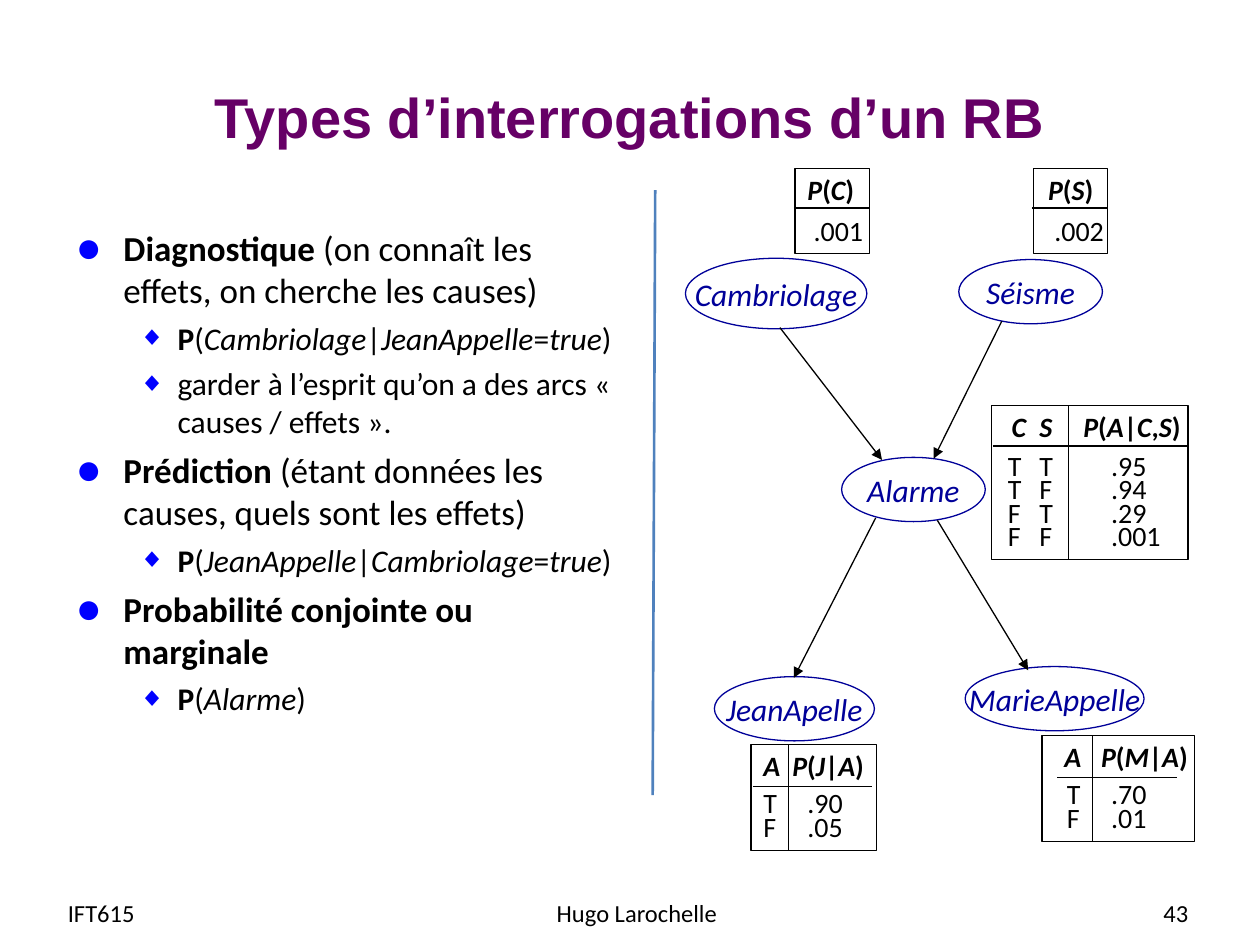
"""Build a slide on the query types of a Bayesian network."""
from lxml.etree import SubElement
from pptx import Presentation
from pptx.dml.color import RGBColor
from pptx.enum.shapes import MSO_CONNECTOR, MSO_SHAPE
from pptx.enum.text import MSO_ANCHOR, MSO_AUTO_SIZE, PP_ALIGN
from pptx.oxml.ns import qn
from pptx.util import Inches, Pt

PURPLE = RGBColor(0x66, 0x00, 0x66)
NAVY = RGBColor(0x00, 0x00, 0x99)
BLACK = RGBColor(0x00, 0x00, 0x00)
STEEL = RGBColor(0x4F, 0x81, 0xBD)
BULLET_BLUE = RGBColor(0x00, 0x00, 0xFF)


def write(para, spans, size, color=BLACK, name="Calibri"):
    """Add each (text, style) span as a run; b is bold and i is italic."""
    for text, style in spans:
        span = para.add_run()
        span.text = text
        span.font.name = name
        span.font.size = Pt(size)
        span.font.bold = "b" in style
        span.font.italic = "i" in style
        span.font.color.rgb = color


def draw_line(page, x1, y1, x2, y2, color=BLACK, width=0.75, arrow=False):
    """Draw a straight line, with an arrowhead at its end if asked."""
    line = page.shapes.add_connector(
        MSO_CONNECTOR.STRAIGHT, Inches(x1), Inches(y1), Inches(x2), Inches(y2))
    line.line.color.rgb = color
    line.line.width = Pt(width)
    properties = line._element.spPr
    if arrow:
        SubElement(properties.find(qn("a:ln")), qn("a:tailEnd"), type="triangle")
    SubElement(properties, qn("a:effectLst"))


deck = Presentation()
deck.slide_width, deck.slide_height = Inches(10), Inches(7.5)
page = deck.slides.add_slide(deck.slide_layouts[1])

title = page.shapes.title
title.left, title.top, title.width, title.height = map(Inches, (0.5, 0.3, 9, 1.25))
title.text_frame.vertical_anchor = MSO_ANCHOR.MIDDLE
heading = title.text_frame.paragraphs[0]
heading.alignment = PP_ALIGN.CENTER
write(heading, [("Types d’interrogations d’un RB", "b")], 32, PURPLE, "Arial")

items = [
    (0, [("Diagnostique", "b"), (" (on connaît les effets, on cherche les causes)", "")]),
    (1, [("P", "b"), ("(", ""), ("Cambriolage", "i"), ("|", ""), ("JeanAppelle", "i"),
         ("=", ""), ("true", "i"), (")", "")]),
    (1, [("garder à l’esprit qu’on a des arcs « causes / effets ».", "")]),
    (0, [("Prédiction ", "b"), ("(étant données les causes, quels sont les effets)", "")]),
    (1, [("P", "b"), ("(", ""), ("JeanAppelle", "i"), ("|", ""), ("Cambriolage", "i"),
         ("=", ""), ("true", "i"), (")", "")]),
    (0, [("Probabilité conjointe ou marginale", "b")]),
    (1, [("P", "b"), ("(", ""), ("Alarme", "i"), (")", "")]),
]
levels = [(20, 5, 0.38, -0.38, "●", 125), (18, 4.5, 0.81, -0.31, "◆", 85)]

body = page.placeholders[1]
body.left, body.top, body.width, body.height = map(Inches, (0.5, 1.75, 4.55, 4.95))
body.text_frame.auto_size = MSO_AUTO_SIZE.NONE
for number, (level, spans) in enumerate(items):
    size, gap, margin, indent, mark, percent = levels[level]
    para = body.text_frame.add_paragraph() if number else body.text_frame.paragraphs[0]
    para.level = level
    settings = para._p.get_or_add_pPr()
    settings.set("marL", str(Inches(margin)))
    settings.set("indent", str(Inches(indent)))
    SubElement(SubElement(settings, qn("a:buClr")), qn("a:srgbClr"), val=str(BULLET_BLUE))
    SubElement(settings, qn("a:buSzPct"), val=str(percent * 1000))
    SubElement(settings, qn("a:buFont"), typeface="Arial")
    SubElement(settings, qn("a:buChar"), char=mark)
    para.space_before = Pt(gap if number else 0)
    write(para, spans, size)

footers = [
    (0.44, 1.93, PP_ALIGN.LEFT, "IFT615"),
    (3.47, 3.17, PP_ALIGN.CENTER, "Hugo Larochelle"),
    (7.2, 2.33, PP_ALIGN.RIGHT, "43"),
]
for left, width, alignment, text in footers:
    box = page.shapes.add_textbox(Inches(left), Inches(7.04), Inches(width), Inches(0.4))
    box.text_frame.word_wrap = True
    box.text_frame.vertical_anchor = MSO_ANCHOR.MIDDLE
    para = box.text_frame.paragraphs[0]
    para.alignment = alignment
    write(para, [(text, "")], 14)

draw_line(page, 5.2, 1.51, 5.18, 6.31, STEEL, 1.5)

nodes = [
    ("Cambriolage", 5.44, 2.05, 1.44, 0.56),
    ("Séisme", 7.61, 2.06, 1.14, 0.51),
    ("Alarme", 6.68, 3.63, 1.14, 0.51),
    ("JeanApelle", 5.67, 5.37, 1.27, 0.51),
    ("MarieAppelle", 7.66, 5.29, 1.42, 0.51),
]
for name, *place in nodes:
    node = page.shapes.add_shape(MSO_SHAPE.OVAL, *map(Inches, place))
    node.shadow.inherit = False
    node.fill.background()
    node.line.color.rgb = NAVY
    node.line.width = Pt(0.75)
    node.text_frame.word_wrap = False
    node.text_frame.vertical_anchor = MSO_ANCHOR.MIDDLE
    para = node.text_frame.paragraphs[0]
    para.alignment = PP_ALIGN.CENTER
    write(para, [(name, "i")], 18, NAVY)

frames = [
    (7.87, 3.22, 1.56, 1.22),
    (5.96, 5.91, 1, 0.84),
    (8.27, 5.84, 1.21, 0.84),
    (6.31, 1.34, 0.59, 0.67),
    (8.2, 1.34, 0.59, 0.67),
]
for place in frames:
    frame = page.shapes.add_shape(MSO_SHAPE.RECTANGLE, *map(Inches, place))
    frame.shadow.inherit = False
    frame.fill.background()
    frame.line.color.rgb = BLACK
    frame.line.width = Pt(0.75)

rules = [
    (7.88, 3.54, 9.42, 3.54), (8.48, 3.22, 8.48, 4.44),
    (5.98, 6.24, 6.92, 6.24), (6.26, 5.91, 6.26, 6.75),
    (8.39, 6.17, 9.34, 6.17), (8.67, 5.84, 8.67, 6.68),
    (6.3, 1.65, 6.9, 1.65), (8.19, 1.65, 8.79, 1.65),
]
for ends in rules:
    draw_line(page, *ends)

tables = [
    ((7.93, 3.2, 1.54, 0.37), 1, [0.22, 0.57], "C\tS\tP(A|C,S)", []),
    ((7.9, 3.58, 1.4, 0.85), 0.7, [0.25, 0.82], "",
     ["T\tT\t.95", "T\tF\t.94", "F\tT\t.29", "F\tF\t.001"]),
    ((5.96, 5.89, 1, 0.37), 1, [0.23], "A\tP(J|A)", []),
    ((5.96, 6.26, 0.84, 0.48), 0.7, [0.35], "", ["T\t.90", "F\t.05"]),
    ((8.35, 5.82, 1.17, 0.37), 1, [0.29], "A\tP(M|A)", []),
    ((8.37, 6.19, 0.84, 0.48), 0.7, [0.35], "", ["T\t.70", "F\t.01"]),
    ((6.31, 1.27, 0.64, 0.74), 1.2, [], "P(C)", [".001"]),
    ((8.22, 1.27, 0.64, 0.74), 1.2, [], "P(S)", [".002"]),
]
for place, spacing, stops, header, rows in tables:
    box = page.shapes.add_textbox(*map(Inches, place))
    box.text_frame.word_wrap = True
    box.text_frame.margin_right = 0
    lines = [[(sign, "bi" if sign.isalpha() else "b") for sign in header]] if header else []
    lines += [[(row, "i" if header else "")] for row in rows]
    for number, spans in enumerate(lines):
        para = box.text_frame.add_paragraph() if number else box.text_frame.paragraphs[0]
        settings = para._p.get_or_add_pPr()
        if number and header:
            settings.set("marL", str(Inches(0.05)))
            spans = [(text, "") for text, style in spans]
        if stops:
            tabs = SubElement(settings, qn("a:tabLst"))
            for stop in stops:
                SubElement(tabs, qn("a:tab"), pos=str(Inches(stop)), algn="l")
        para.line_spacing = spacing
        write(para, spans, 16)

arcs = [
    (6.19, 2.6, 7, 3.65),
    (7.95, 2.55, 7.41, 3.64),
    (6.95, 4.11, 6.3, 5.38),
    (7.44, 4.13, 8.16, 5.32),
]
for ends in arcs:
    draw_line(page, *ends, arrow=True)

deck.save("out.pptx")
